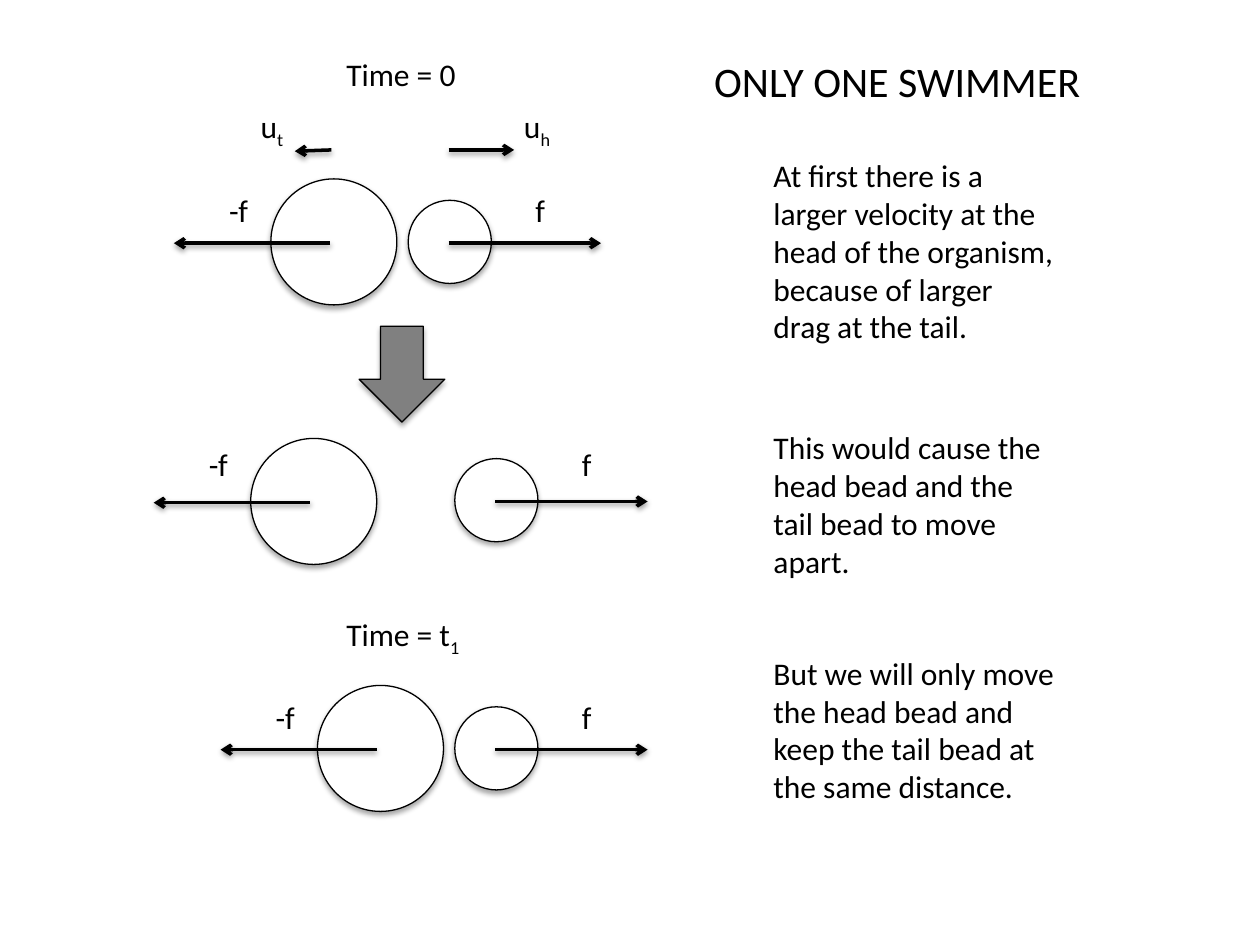
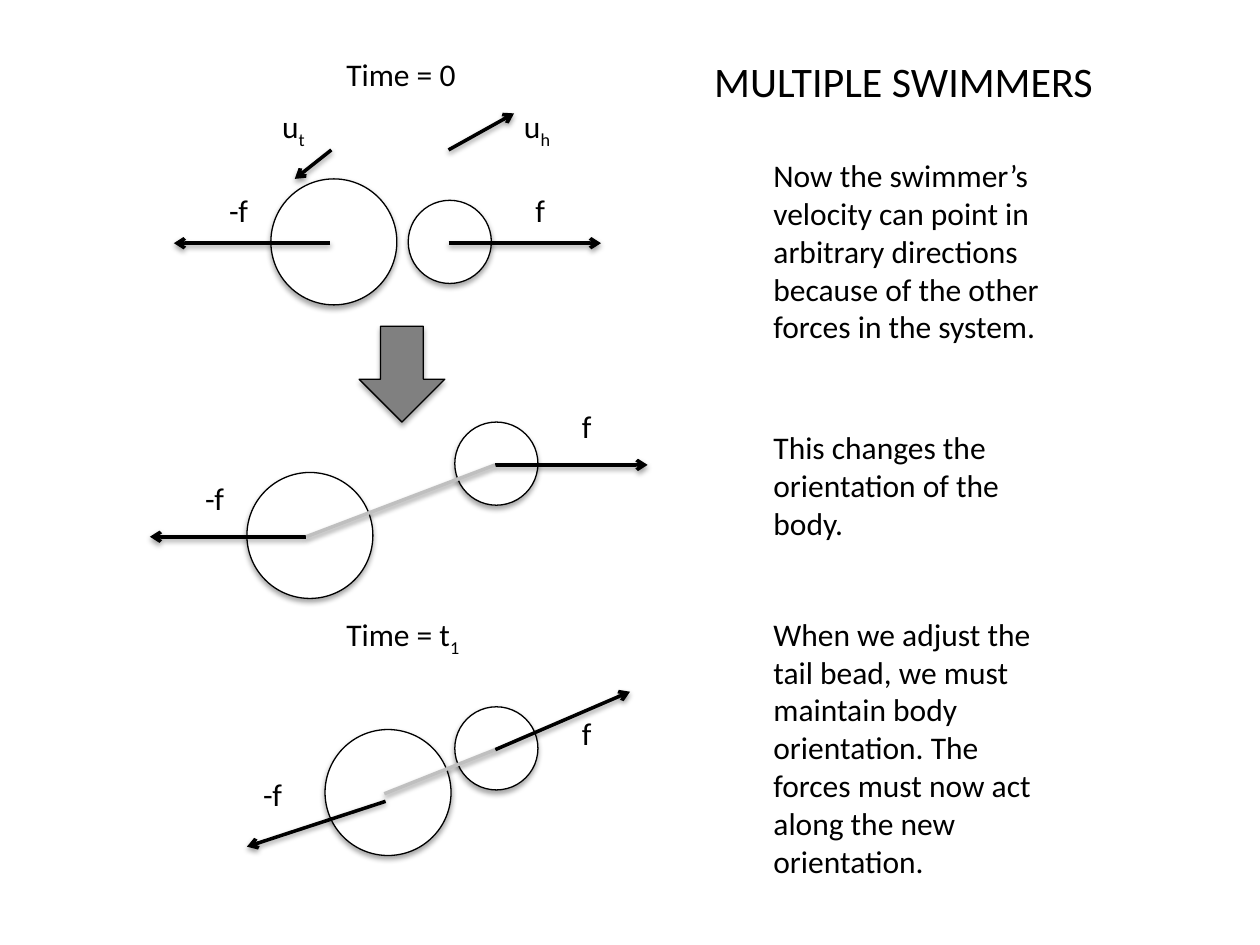
from lxml import etree
from pptx import Presentation
from pptx.dml.color import RGBColor
from pptx.enum import shapes, text
from pptx.oxml import ns
from pptx.util import Inches, Pt

BLACK = RGBColor(0x00, 0x00, 0x00)
WHITE = RGBColor(0xFF, 0xFF, 0xFF)
GRAY = RGBColor(0x80, 0x80, 0x80)
LIGHT_GRAY = RGBColor(0xBF, 0xBF, 0xBF)
FONT = "Calibri"
TAIL_SIZE, HEAD_SIZE = 1, 0.66
TAIL_HUB, HEAD_HUB = (0.47, 0.51), (0.32, 0.34)
TAIL_PULL, HEAD_PULL = (-1.24, 0), (1.21, 0)


def add_shadow(sp, opacity, distance):
    effects = etree.SubElement(sp._element.spPr, ns.qn("a:effectLst"))
    shadow = etree.SubElement(
        effects, ns.qn("a:outerShdw"), blurRad=str(Pt(3.1)),
        dist=str(Pt(distance)), dir="5400000", rotWithShape="0")
    color = etree.SubElement(shadow, ns.qn("a:srgbClr"), val=str(BLACK))
    etree.SubElement(color, ns.qn("a:alpha"), val=str(opacity * 1000))


def add_solid(slide, kind, box, fill):
    sp = slide.shapes.add_shape(kind, *map(Inches, box))
    sp.fill.solid()
    sp.fill.fore_color.rgb = fill
    sp.line.color.rgb = BLACK
    sp.line.width = Pt(0.75)
    add_shadow(sp, 35, 1.8)


def add_line(slide, start, end, color=BLACK, arrow=True):
    line = slide.shapes.add_connector(
        shapes.MSO_CONNECTOR.STRAIGHT, *map(Inches, (*start, *end)))
    line.line.color.rgb = color
    line.line.width = Pt(2)
    if arrow:
        etree.SubElement(line.line._get_or_add_ln(), ns.qn("a:tailEnd"), type="arrow")
    add_shadow(line, 38, 1.6)


def add_text(slide, box, content, subscript="", size=18, wrap=False):
    tf = slide.shapes.add_textbox(*map(Inches, box)).text_frame
    tf.word_wrap = wrap
    tf.auto_size = text.MSO_AUTO_SIZE.SHAPE_TO_FIT_TEXT
    p = tf.paragraphs[0]
    p.font.name = FONT
    p.font.size = Pt(size)
    p.font.color.rgb = BLACK
    p.add_run().text = content
    if subscript:
        r = p.add_run()
        r.text = subscript
        r._r.get_or_add_rPr().set("baseline", "-25000")


def shift(point, offset):
    return point[0] + offset[0], point[1] + offset[1]


def add_bead(slide, corner, size, hub, pull, label, label_offset):
    add_solid(slide, shapes.MSO_SHAPE.OVAL, (*corner, size, size), WHITE)
    start = shift(corner, hub)
    add_line(slide, start, shift(start, pull))
    width = 0.36 if label == "-f" else 0.29
    add_text(slide, (*shift(corner, label_offset), width, 0.4), label)


def add_swimmer(slide, tail, head, tail_label=(-0.43, 0.05), head_label=(0.91, -0.12),
                tail_pull=TAIL_PULL, head_pull=HEAD_PULL, tail_hub=TAIL_HUB, body=False):
    add_bead(slide, tail, TAIL_SIZE, tail_hub, tail_pull, "-f", tail_label)
    add_bead(slide, head, HEAD_SIZE, HEAD_HUB, head_pull, "f", head_label)
    if body:
        add_line(slide, shift(tail, TAIL_HUB), shift(head, HEAD_HUB), LIGHT_GRAY, False)


def add_start(slide, tail_tip, head_tip, tail_label_left):
    add_text(slide, (2.65, 0.39, 1.08, 0.4), "Time = 0")
    add_text(slide, (tail_label_left, 0.8, 0.39, 0.4), "u", "t")
    add_text(slide, (4.06, 0.8, 0.42, 0.4), "u", "h")
    add_line(slide, (2.63, 1.19), tail_tip)
    add_line(slide, (3.56, 1.19), head_tip)
    add_swimmer(slide, (2.15, 1.42), (3.24, 1.59))
    add_solid(slide, shapes.MSO_SHAPE.DOWN_ARROW, (2.85, 2.59, 0.68, 0.76), GRAY)
    add_text(slide, (2.65, 4.83, 1.16, 0.4), "Time = t", "1")


def add_story(slide, title, title_width, notes):
    add_text(slide, (5.57, 0.39, title_width, 0.5), title, size=24)
    for top, height, note in notes:
        add_text(slide, (6.04, top, 2.44, height), note, wrap=True)


def build_single(slide):
    add_start(slide, (2.34, 1.2), (4.08, 1.19), 1.97)
    add_swimmer(slide, (1.99, 3.48), (3.61, 3.64), (-0.43, 0), (0.91, -0.16))
    add_swimmer(slide, (2.52, 5.44), (3.61, 5.61))
    add_story(slide, "ONLY ONE SWIMMER", 3.14, [
        (1.19, 1.62, "At first there is a larger velocity at the head of the organism, "
                     "because of larger drag at the tail."),
        (3.35, 1.31, "This would cause the head bead and the tail bead to move apart."),
        (5.14, 1.31, "But we will only move the head bead and keep the tail bead "
                     "at the same distance."),
    ])


def build_multiple(slide):
    add_start(slide, (2.34, 1.42), (4.08, 0.9), 2.14)
    add_swimmer(slide, (1.96, 3.75), (3.61, 3.35), (-0.43, 0), (0.91, -0.17), body=True)
    add_swimmer(slide, (2.58, 5.79), (3.61, 5.61), (-0.59, 0.31), (0.91, 0.01),
                tail_pull=(-1.1, 0.36), head_pull=(1.07, -0.46),
                tail_hub=(0.48, 0.57), body=True)
    add_story(slide, "MULTIPLE SWIMMERS", 3.24, [
        (1.19, 1.62, "Now the swimmer’s velocity can point in arbitrary directions "
                     "because of the other forces in the system."),
        (3.35, 1.01, "This changes the orientation of the body."),
        (4.83, 2.22, "When we adjust the tail bead, we must maintain body orientation. "
                     "The forces must now act along the new orientation."),
    ])


prs = Presentation()
prs.slide_width, prs.slide_height = Inches(10), Inches(7.5)
for build in (build_single, build_multiple):
    build(prs.slides.add_slide(prs.slide_layouts[6]))
prs.save("out.pptx")
